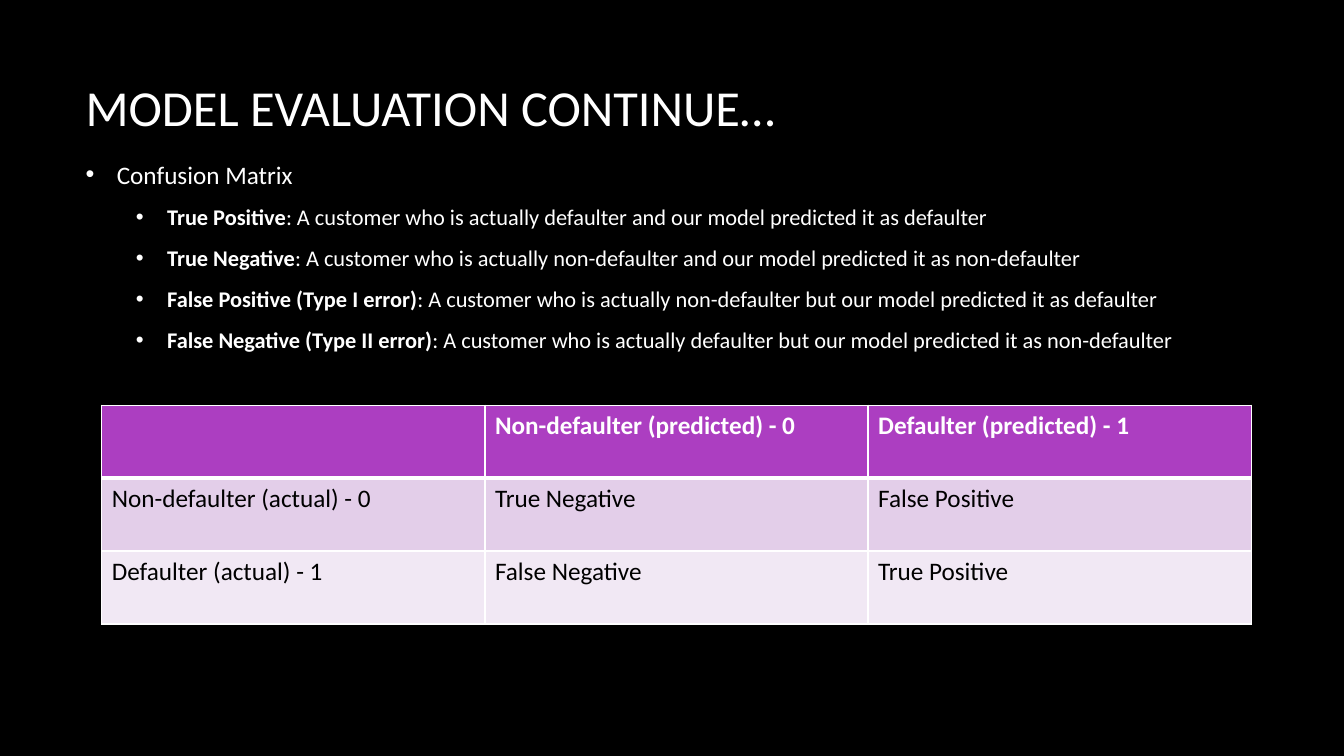
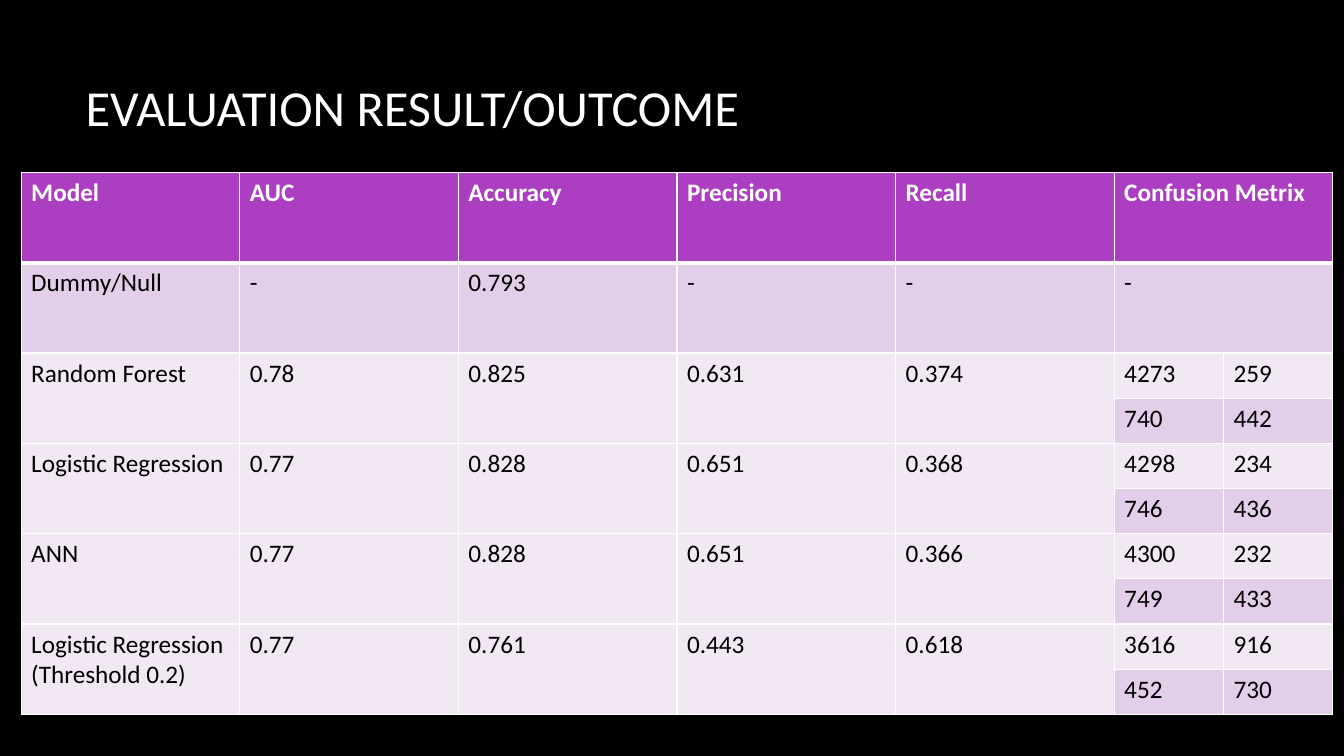
from dataclasses import dataclass

from lxml import etree
from pptx import Presentation
from pptx.dml.color import RGBColor
from pptx.enum.text import MSO_ANCHOR, PP_ALIGN
from pptx.oxml.ns import qn
from pptx.util import Inches, Pt

MIDDLE, TOP = MSO_ANCHOR.MIDDLE, MSO_ANCHOR.TOP
LEFT, JUSTIFY = PP_ALIGN.LEFT, PP_ALIGN.JUSTIFY
FONT = "Calibri"
COLORS = {
    "background": "000000",
    "light": "FFFFFF",
    "dark": "000000",
    "header": "AC3EC1",
    "band": "E3CEE9",
    "pale": "F1E8F4",
}
THIN, THICK = 1, 3  # cell border widths in points


@dataclass(frozen=True)
class Bullet:
    term: str
    meaning: str = ""
    level: int = 0


@dataclass(frozen=True)
class Grid:
    """A table whose columns and rows share its size by weight."""
    left: float
    top: float
    width: float
    height: float
    columns: tuple[int, ...]
    rows: tuple[int, ...]


@dataclass(frozen=True)
class ModelResult:
    name: str
    scores: tuple[str, ...]
    confusion: tuple[tuple[str, str], tuple[str, str]]


DEFINITIONS = [
    Bullet("Confusion Matrix"),
    Bullet("True Positive", ": A customer who is actually defaulter and our model "
           "predicted it as defaulter", 1),
    Bullet("True Negative", ": A customer who is actually non-defaulter and our model "
           "predicted it as non-defaulter", 1),
    Bullet("False Positive (Type I error)", ": A customer who is actually non-defaulter "
           "but our model predicted it as defaulter", 1),
    Bullet("False Negative (Type II error)", ": A customer who is actually defaulter "
           "but our model predicted it as non-defaulter", 1),
]
OUTCOMES = [
    ("", "Non-defaulter (predicted) - 0", "Defaulter (predicted) - 1"),
    ("Non-defaulter (actual) - 0", "True Negative", "False Positive"),
    ("Defaulter (actual) - 1", "False Negative", "True Positive"),
]
RESULT_HEADER = ("Model", "AUC", "Accuracy", "Precision", "Recall", "Confusion Metrix")
BASELINE = ("Dummy/Null", "-", "0.793", "-", "-", "-")
RESULTS = [
    ModelResult("Random Forest", ("0.78", "0.825", "0.631", "0.374"),
                (("4273", "259"), ("740", "442"))),
    ModelResult("Logistic Regression", ("0.77", "0.828", "0.651", "0.368"),
                (("4298", "234"), ("746", "436"))),
    ModelResult("ANN", ("0.77", "0.828", "0.651", "0.366"),
                (("4300", "232"), ("749", "433"))),
    ModelResult("Logistic Regression\n(Threshold 0.2)", ("0.77", "0.761", "0.443", "0.618"),
                (("3616", "916"), ("452", "730"))),
]


# Text
def add_text(paragraph, text: str, *, size: float = 18, color: str = "light",
             bold: bool = False, align=LEFT) -> None:
    paragraph.alignment = align
    run = paragraph.add_run()
    run.text = text
    run.font.name = FONT
    run.font.size = Pt(size)
    run.font.bold = bold
    run.font.color.rgb = RGBColor.from_string(COLORS[color])


def add_frame(slide, left: float, top: float, width: float, height: float, anchor):
    box = slide.shapes.add_textbox(Inches(left), Inches(top), Inches(width), Inches(height))
    frame = box.text_frame
    frame.word_wrap = True
    frame.vertical_anchor = anchor
    return frame


def add_bullets(slide, bullets: list[Bullet]) -> None:
    frame = add_frame(slide, 0.75, 1.53, 11.91, 2.2, TOP)
    for index, bullet in enumerate(bullets):
        paragraph = frame.add_paragraph() if index else frame.paragraphs[0]
        paragraph.level = bullet.level
        paragraph.space_after = Pt(10)
        size = 16 if bullet.level else 18
        add_text(paragraph, bullet.term, size=size, bold=bullet.level > 0, align=JUSTIFY)
        if bullet.meaning:
            add_text(paragraph, bullet.meaning, size=size, align=JUSTIFY)
        # Hanging bullet
        properties = paragraph._p.get_or_add_pPr()
        properties.set("marL", str(Inches(0.31 + 0.5 * bullet.level)))
        properties.set("indent", str(Inches(-0.31)))
        etree.SubElement(properties, qn("a:buFont"), typeface="Arial")
        etree.SubElement(properties, qn("a:buChar"), char="•")


# Tables
def set_borders(cell, top: float, bottom: float) -> None:
    properties = cell._tc.get_or_add_tcPr()
    widths = {"a:lnL": THIN, "a:lnR": THIN, "a:lnT": top, "a:lnB": bottom}
    for position, (side, width) in enumerate(widths.items()):
        line = etree.Element(qn(side), w=str(Pt(width)))
        fill = etree.SubElement(line, qn("a:solidFill"))
        etree.SubElement(fill, qn("a:srgbClr"), val=COLORS["light"])
        properties.insert(position, line)


def add_grid(slide, grid: Grid):
    table = slide.shapes.add_table(
        len(grid.rows), len(grid.columns), Inches(grid.left), Inches(grid.top),
        Inches(grid.width), Inches(grid.height)).table
    for column, weight in zip(table.columns, grid.columns):
        column.width = Inches(grid.width * weight / sum(grid.columns))
    for row, weight in zip(table.rows, grid.rows):
        row.height = Inches(grid.height * weight / sum(grid.rows))
    for index, row in enumerate(table.rows):
        for cell in row.cells:
            set_borders(cell, THICK if index == 1 else THIN, THICK if index == 0 else THIN)
    return table


def fill_cell(table, row: int, column: int, text: str, fill: str,
              row_span: int = 1, column_span: int = 1) -> None:
    cell = table.cell(row, column)
    if row_span * column_span > 1:
        cell.merge(table.cell(row + row_span - 1, column + column_span - 1))
    for r in range(row, row + row_span):
        for c in range(column, column + column_span):
            covered = table.cell(r, c)
            covered.fill.solid()
            covered.fill.fore_color.rgb = RGBColor.from_string(COLORS[fill])
    is_header = fill == "header"
    frame = cell.text_frame
    for index, line in enumerate(text.split("\n")):
        paragraph = frame.add_paragraph() if index else frame.paragraphs[0]
        if line:
            add_text(paragraph, line, color="light" if is_header else "dark", bold=is_header)


# Slides
def add_slide(deck, title: str):
    slide = deck.slides.add_slide(deck.slide_layouts[6])
    slide.background.fill.solid()
    slide.background.fill.fore_color.rgb = RGBColor.from_string(COLORS["background"])
    frame = add_frame(slide, 0.75, 0.64, 11.08, 0.83, MIDDLE)
    add_text(frame.paragraphs[0], title, size=36)
    return slide


def add_confusion_slide(deck) -> None:
    slide = add_slide(deck, "MODEL EVALUATION CONTINUE…")
    add_bullets(slide, DEFINITIONS)
    table = add_grid(slide, Grid(1.01, 4.02, 11.4, 2.17, (1, 1, 1), (1, 1, 1)))
    for row, (texts, fill) in enumerate(zip(OUTCOMES, ("header", "band", "pale"))):
        for column, text in enumerate(texts):
            fill_cell(table, row, column, text, fill)


def add_result_slide(deck) -> None:
    slide = add_slide(deck, "EVALUATION RESULT/OUTCOME")
    row_weights = (2, 2) + (1, 1) * len(RESULTS)
    table = add_grid(slide, Grid(0.21, 1.71, 13.01, 5.38, (2,) * 5 + (1, 1), row_weights))
    last = len(RESULT_HEADER) - 1
    for row, (texts, fill) in enumerate(((RESULT_HEADER, "header"), (BASELINE, "band"))):
        for column, text in enumerate(texts):
            fill_cell(table, row, column, text, fill, column_span=2 if column == last else 1)
    # Each model takes two rows, split only under the confusion matrix
    for index, result in enumerate(RESULTS):
        top = 2 + 2 * index
        for column, text in enumerate((result.name, *result.scores)):
            fill_cell(table, top, column, text, "pale", row_span=2)
        for offset, (counts, fill) in enumerate(zip(result.confusion, ("pale", "band"))):
            for side, count in enumerate(counts):
                fill_cell(table, top + offset, last + side, count, fill)


def main() -> None:
    deck = Presentation()
    deck.slide_width, deck.slide_height = Inches(13.33), Inches(7.5)
    add_confusion_slide(deck)
    add_result_slide(deck)
    deck.save("out.pptx")


if __name__ == "__main__":
    main()
